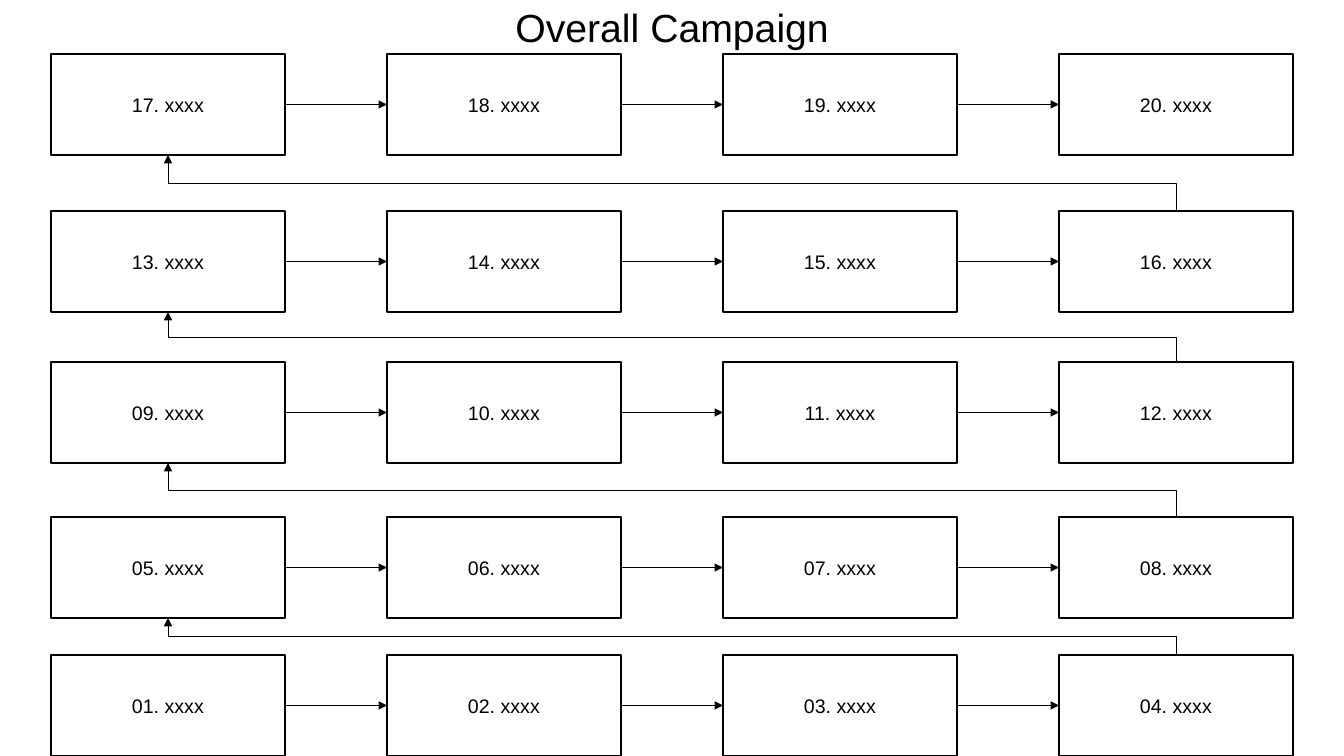
"""Build the campaign flow slide: five rows of four linked steps."""
from dataclasses import dataclass
from itertools import pairwise

from lxml.etree import SubElement
from pptx import Presentation
from pptx.dml.color import RGBColor
from pptx.enum.shapes import MSO_CONNECTOR, MSO_SHAPE
from pptx.enum.text import MSO_ANCHOR, PP_ALIGN
from pptx.oxml.ns import qn
from pptx.shapes.autoshape import Shape
from pptx.shapes.connector import Connector
from pptx.shapes.shapetree import SlideShapes
from pptx.util import Pt

SCALE = 914400 / 100.8
WIDE, HIGH = 1344, 756
LEFT, PITCH, COLS = 51, 336, 4
TOPS = (655, 517, 362, 211, 54)
BOX_W, BOX_H = 234, 101
TOP, WEST, FOOT, EAST = range(4)


@dataclass(frozen=True)
class Theme:
    """Colours, type sizes and line widths."""
    font: str = "Arial"
    ink: RGBColor = RGBColor(0, 0, 0)
    paper: RGBColor = RGBColor(255, 255, 255)
    title: Pt = Pt(28)
    label: Pt = Pt(14)
    edge: Pt = Pt(1)
    link: Pt = Pt(0.5)


@dataclass(frozen=True)
class Box:
    """A text panel, placed in pixels."""
    text: str
    left: int
    top: int
    width: int = BOX_W
    height: int = BOX_H
    size: Pt = Theme.label
    framed: bool = True


def emu(pixels: float) -> int:
    """Turn pixels into EMU."""
    return round(pixels * SCALE)


def draw_box(shapes: SlideShapes, box: Box) -> Shape:
    """Draw a panel with centred text."""
    shape = shapes.add_shape(MSO_SHAPE.RECTANGLE, emu(box.left), emu(box.top),
                             emu(box.width), emu(box.height))
    shape.shadow.inherit = False
    shape.fill.solid()
    shape.fill.fore_color.rgb = Theme.paper
    if box.framed:
        shape.line.color.rgb = Theme.ink
        shape.line.width = Theme.edge
    else:
        shape.line.fill.background()
    frame = shape.text_frame
    frame.word_wrap = True
    frame.vertical_anchor = MSO_ANCHOR.MIDDLE
    para = frame.paragraphs[0]
    para.text = box.text
    para.alignment = PP_ALIGN.CENTER
    para.font.name = Theme.font
    para.font.size = box.size
    para.font.color.rgb = Theme.ink
    return shape


def spot(shape: Shape, site: int) -> tuple[int, int]:
    """Find the point of a connection site."""
    mid_x, mid_y = shape.left + shape.width // 2, shape.top + shape.height // 2
    return {TOP: (mid_x, shape.top), WEST: (shape.left, mid_y),
            FOOT: (mid_x, shape.top + shape.height),
            EAST: (shape.left + shape.width, mid_y)}[site]


def link(shapes: SlideShapes, kind: MSO_CONNECTOR, start: Shape, out: int,
         end: Shape, into: int) -> Connector:
    """Join two panels with an arrow."""
    line = shapes.add_connector(kind, *spot(start, out), *spot(end, into))
    line.begin_connect(start, out)
    line.end_connect(end, into)
    line.line.color.rgb = Theme.ink
    line.line.width = Theme.link
    SubElement(line.line._get_or_add_ln(), qn("a:tailEnd"), type="triangle")
    SubElement(line._element.spPr, qn("a:effectLst"))
    return line


def climb(shapes: SlideShapes, start: Shape, end: Shape) -> None:
    """Lead from the end of one row up to the start of the next."""
    line = link(shapes, MSO_CONNECTOR.ELBOW, start, TOP, end, FOOT)
    wide, high = line.width, line.height
    line.left += (wide - high) // 2
    line.top += (high - wide) // 2
    line.width, line.height = high, wide
    frame = line._element.spPr.find(qn("a:xfrm"))
    frame.set("rot", str(270 * 60000))
    frame.set("flipH", "0")
    frame.set("flipV", "1")


def main() -> None:
    """Build and save the slide."""
    deck = Presentation()
    deck.slide_width, deck.slide_height = emu(WIDE), emu(HIGH)
    shapes = deck.slides.add_slide(deck.slide_layouts[6]).shapes
    draw_box(shapes, Box("Overall Campaign", 0, 0, WIDE, 54, Theme.title, False))
    rows = [[draw_box(shapes, Box(f"{row * COLS + col + 1:02}. xxxx",
                                  LEFT + col * PITCH, top))
             for col in range(COLS)]
            for row, top in enumerate(TOPS)]
    for row in rows:
        for start, end in pairwise(row):
            link(shapes, MSO_CONNECTOR.STRAIGHT, start, EAST, end, WEST)
    for lower, upper in pairwise(rows):
        climb(shapes, lower[-1], upper[0])
    deck.save("out.pptx")


main()
